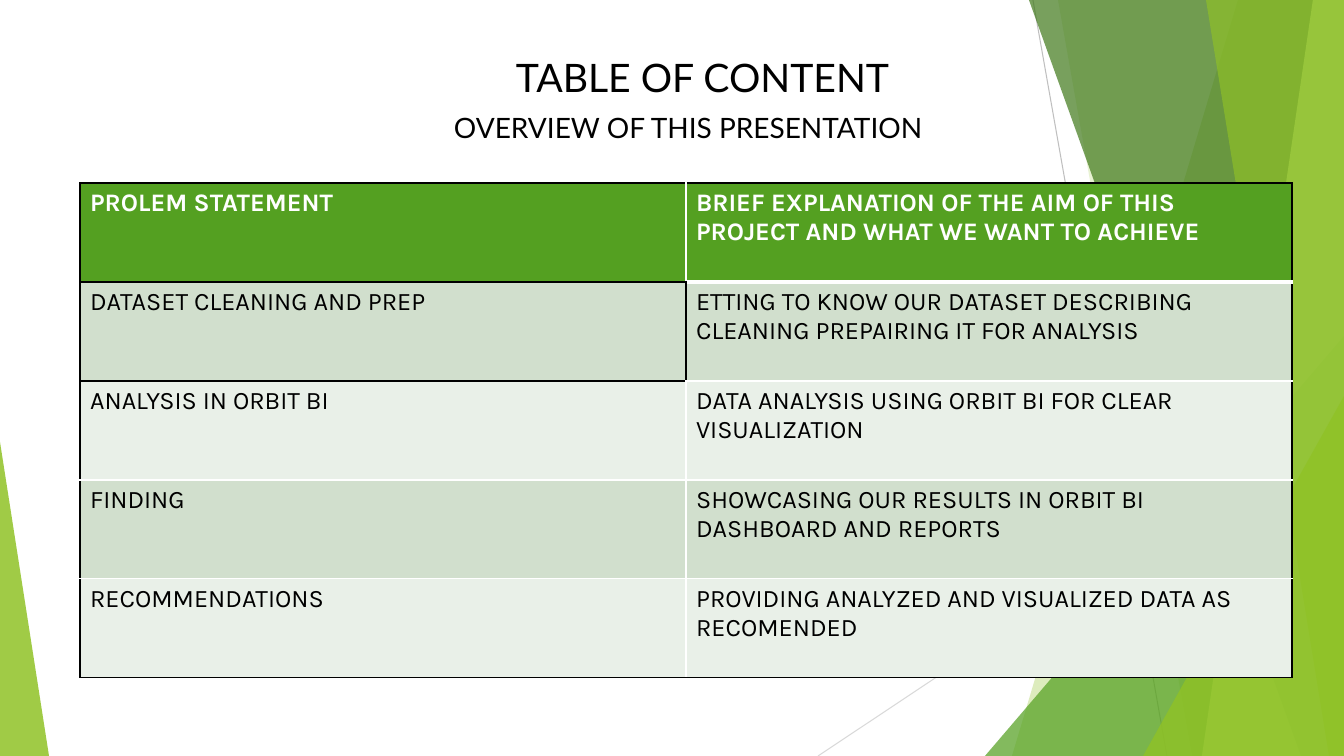
from dataclasses import dataclass

from lxml import etree
from pptx import Presentation
from pptx.dml.color import RGBColor
from pptx.enum.shapes import MSO_CONNECTOR, MSO_SHAPE
from pptx.enum.text import MSO_ANCHOR, MSO_AUTO_SIZE, PP_ALIGN
from pptx.oxml.ns import qn
from pptx.util import Emu, Pt

EMU_PER_PX = 914400 / 100.8
PAGE_WIDTH, PAGE_HEIGHT = 1344, 756

BLACK = RGBColor(0x00, 0x00, 0x00)
WHITE = RGBColor(0xFF, 0xFF, 0xFF)
LIME = RGBColor(0x90, 0xC2, 0x26)
PALE_LIME = RGBColor(0xC0, 0xE4, 0x74)
GREEN = RGBColor(0x54, 0xA0, 0x21)
DARK_GREEN = RGBColor(0x3F, 0x78, 0x19)
SAGE = RGBColor(0xD1, 0xDF, 0xCD)
PALE_SAGE = RGBColor(0xE9, 0xF0, 0xE8)
GREY = RGBColor(0xBF, 0xBF, 0xBF)
PALE_GREY = RGBColor(0xD9, 0xD9, 0xD9)

STRAIGHT = MSO_CONNECTOR.STRAIGHT
TRIANGLE = MSO_SHAPE.ISOSCELES_TRIANGLE
TOP = MSO_ANCHOR.TOP
NO_AUTOFIT = MSO_AUTO_SIZE.NONE
LEFT, CENTER = PP_ALIGN.LEFT, PP_ALIGN.CENTER

TITLE_ONLY = 5


@dataclass
class Ray:
    start: tuple[int, int]
    end: tuple[int, int]
    color: RGBColor


@dataclass
class Band:
    """Full-height facet from its slanted left edge to the right page edge."""
    top_x: int
    bottom_x: int
    color: RGBColor
    opacity: int


@dataclass
class Wedge:
    """Right triangle standing on the bottom page edge."""
    left: int
    top: int
    width: int
    apex: int
    color: RGBColor
    opacity: int


BACKDROP = [
    Ray((1033, 0), (1167, 756), GREY),
    Ray((1344, 406), (818, 756), PALE_GREY),
    Band(1238, 1012, LIME, 30),
    Band(1058, 1192, LIME, 20),
    Wedge(985, 336, 359, 1, GREEN, 72),
    Band(1029, 1301, DARK_GREEN, 70),
    Band(1313, 1202, PALE_LIME, 70),
    Band(1206, 1329, LIME, 65),
    Wedge(1143, 396, 201, 1, LIME, 80),
    Wedge(0, 442, 49, 0, LIME, 85),
]

CONTENTS = [
    ("PROLEM STATEMENT",
     "BRIEF EXPLANATION OF THE AIM OF THIS PROJECT AND WHAT WE WANT TO ACHIEVE"),
    ("DATASET CLEANING AND PREP",
     "ETTING TO KNOW OUR DATASET DESCRIBING CLEANING PREPAIRING IT FOR ANALYSIS"),
    ("ANALYSIS IN ORBIT BI",
     "DATA ANALYSIS USING ORBIT BI FOR CLEAR VISUALIZATION"),
    ("FINDING",
     "SHOWCASING OUR RESULTS IN ORBIT BI DASHBOARD AND REPORTS"),
    ("RECOMMENDATIONS",
     "PROVIDING ANALYZED AND VISUALIZED DATA AS RECOMENDED"),
]
TABLE_LEFT, TABLE_TOP = 80, 183
COLUMN_WIDTH, ROW_HEIGHT = 606, 99
OUTLINED_CELL = (1, 0)
# Border tag and the step to the neighbouring cell
SIDES = {"a:lnL": (0, -1), "a:lnR": (0, 1), "a:lnT": (-1, 0), "a:lnB": (1, 0)}


def px(length: float) -> Emu:
    return Emu(round(length * EMU_PER_PX))


def write(frame, text: str, *, size: int, font: str, color: RGBColor = BLACK,
          bold: bool = False, align=LEFT) -> None:
    para = frame.paragraphs[0]
    para.alignment = align
    span = para.add_run()
    span.text = text
    span.font.name = font
    span.font.size = Pt(size)
    span.font.bold = bold
    span.font.color.rgb = color


def place(box, left: int, top: int, width: int, height: int) -> None:
    box.left, box.top, box.width, box.height = map(px, (left, top, width, height))
    frame = box.text_frame
    frame.word_wrap = True
    frame.auto_size = NO_AUTOFIT
    frame.vertical_anchor = TOP


def paint(shape, color: RGBColor, opacity: int) -> None:
    shape.shadow.inherit = False
    shape.line.fill.background()
    shape.fill.solid()
    shape.fill.fore_color.rgb = color
    tint = shape.element.spPr.find(qn("a:solidFill"))[0]
    etree.SubElement(tint, qn("a:alpha"), val=str(opacity * 1000))


def draw_ray(page, ray: Ray) -> None:
    line = page.shapes.add_connector(STRAIGHT, *map(px, ray.start + ray.end))
    line.line.color.rgb = ray.color
    line.line.width = Pt(0.75)
    etree.SubElement(line.element.spPr, qn("a:effectLst"))


def draw_band(page, band: Band) -> None:
    outline = page.shapes.build_freeform(band.top_x, 0, scale=EMU_PER_PX)
    outline.add_line_segments([(PAGE_WIDTH, 0), (PAGE_WIDTH, PAGE_HEIGHT),
                               (band.bottom_x, PAGE_HEIGHT)])
    paint(outline.convert_to_shape(), band.color, band.opacity)


def draw_wedge(page, wedge: Wedge) -> None:
    shape = page.shapes.add_shape(TRIANGLE, px(wedge.left), px(wedge.top), px(wedge.width),
                                  px(PAGE_HEIGHT - wedge.top))
    shape.adjustments[0] = wedge.apex
    paint(shape, wedge.color, wedge.opacity)


def add_borders(cell, row: int, column: int) -> None:
    """Black around the table and the outlined cell, white elsewhere."""
    properties = cell._tc.get_or_add_tcPr()
    for tag, (down, across) in SIDES.items():
        neighbour = (row + down, column + across)
        outer = not (0 <= neighbour[0] < len(CONTENTS) and 0 <= neighbour[1] < 2)
        black = outer or OUTLINED_CELL in ((row, column), neighbour)
        under_header = not black and {row, neighbour[0]} == {0, 1}
        border = etree.SubElement(properties, qn(tag), w=str(Pt(3 if under_header else 1)))
        fill = etree.SubElement(border, qn("a:solidFill"))
        etree.SubElement(fill, qn("a:srgbClr"), val=str(BLACK if black else WHITE))


def draw_table(page) -> None:
    rows = len(CONTENTS)
    table = page.shapes.add_table(rows, 2, px(TABLE_LEFT), px(TABLE_TOP), px(2 * COLUMN_WIDTH),
                                  px(rows * ROW_HEIGHT)).table
    for column in table.columns:
        column.width = px(COLUMN_WIDTH)
    for r, texts in enumerate(CONTENTS):
        table.rows[r].height = px(ROW_HEIGHT)
        header = r == 0
        for c, text in enumerate(texts):
            cell = table.cell(r, c)
            add_borders(cell, r, c)
            cell.fill.solid()
            cell.fill.fore_color.rgb = GREEN if header else (PALE_SAGE, SAGE)[r % 2]
            write(cell.text_frame, text, size=18, font="Karla",
                  color=WHITE if header else BLACK, bold=header)


def main() -> None:
    deck = Presentation()
    deck.slide_width, deck.slide_height = px(PAGE_WIDTH), px(PAGE_HEIGHT)
    page = deck.slides.add_slide(deck.slide_layouts[TITLE_ONLY])

    # Faceted backdrop
    draw = {Ray: draw_ray, Band: draw_band, Wedge: draw_wedge}
    for part in BACKDROP:
        draw[type(part)](page, part)

    # Headings
    title = page.shapes.title
    place(title, 483, 48, 439, 57)
    write(title.text_frame, "TABLE OF CONTENT", size=28, font="Lato", align=CENTER)
    subtitle = page.shapes.add_textbox(0, 0, 0, 0)
    place(subtitle, 444, 106, 516, 78)
    write(subtitle.text_frame, "OVERVIEW OF THIS PRESENTATION", size=20, font="Lato")

    # Contents
    draw_table(page)
    deck.save("out.pptx")


if __name__ == "__main__":
    main()
